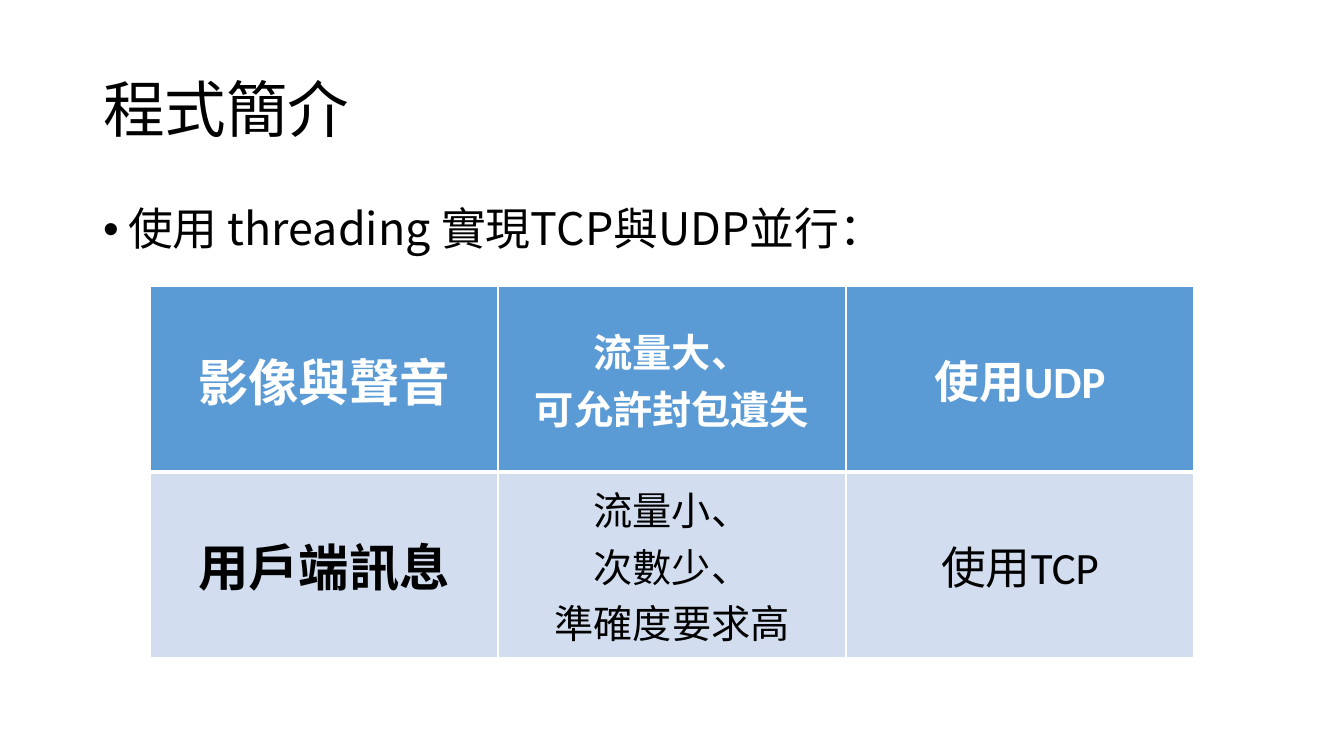
import pptx
import pptx.util
import pptx.dml.color
import pptx.enum.text
import pptx.oxml.ns
from lxml import etree

TITLE = "程式簡介"
BULLET = "使用 threading 實現TCP與UDP並行："
ROWS = [
    ["影像與聲音", "流量大、\n可允許封包遺失", "使用UDP"],
    ["用戶端訊息", "流量小、\n次數少、\n準確度要求高", "使用TCP"],
]
COLUMN_SIZES = [36, 28, 32]
COLORS = {"black": "000000", "white": "FFFFFF", "header": "5B9BD5", "band": "D2DEEF"}
CJK_FONT = "Noto Sans CJK SC"
COLUMN_FONTS = [CJK_FONT, "Calibri", "Calibri"]

SLIDE_SIZE = (1344, 756)
TITLE_BOX = (93, 40, 1159, 146)
BODY_BOX = (93, 202, 1159, 480)
TABLE_LEFT, TABLE_TOP = 150, 286
COLUMN_WIDTH, ROW_HEIGHT = 348, 186
BULLET_INDENT = 25
EMU_PER_PX = 914400 / 100.8

ALIGN = pptx.enum.text.PP_ALIGN
ANCHOR = pptx.enum.text.MSO_ANCHOR
qn = pptx.oxml.ns.qn


def px(length):
    return pptx.util.Emu(round(length * EMU_PER_PX))


def color(name):
    return pptx.dml.color.RGBColor.from_string(COLORS[name])


def style(para, size, font, ink, align, bold=False):
    para.alignment = align
    para.font.size = pptx.util.Pt(size)
    para.font.bold = bold
    para.font.name = font
    para.font.color.rgb = color(ink)
    defaults = para._p.get_or_add_pPr().find(qn("a:defRPr"))
    etree.SubElement(defaults, qn("a:ea"), typeface=CJK_FONT)


def fill_placeholder(box, place, text, size, anchor):
    box.left, box.top, box.width, box.height = map(px, place)
    frame = box.text_frame
    frame.text = text
    frame.word_wrap = True
    frame.auto_size = pptx.enum.text.MSO_AUTO_SIZE.NONE
    frame.vertical_anchor = anchor
    para = frame.paragraphs[0]
    style(para, size, CJK_FONT, "black", ALIGN.LEFT)
    para.line_spacing = 0.9
    return para


def add_borders(cell, bottom_width):
    properties = cell._tc.get_or_add_tcPr()
    for side, width in (("L", 1), ("R", 1), ("T", 1), ("B", bottom_width)):
        line = etree.SubElement(properties, qn("a:ln" + side), w=str(pptx.util.Pt(width)))
        solid = etree.SubElement(line, qn("a:solidFill"))
        etree.SubElement(solid, qn("a:srgbClr"), val=COLORS["white"])


def add_comparison(page):
    row_count, column_count = len(ROWS), len(COLUMN_SIZES)
    table = page.shapes.add_table(
        row_count, column_count, px(TABLE_LEFT), px(TABLE_TOP),
        px(COLUMN_WIDTH * column_count), px(ROW_HEIGHT * row_count),
    ).table
    for column in table.columns:
        column.width = px(COLUMN_WIDTH)
    for row_index, texts in enumerate(ROWS):
        table.rows[row_index].height = px(ROW_HEIGHT)
        header = row_index == 0
        for column_index, text in enumerate(texts):
            cell = table.cell(row_index, column_index)
            cell.vertical_anchor = ANCHOR.MIDDLE
            add_borders(cell, 3 if header else 1)
            cell.fill.solid()
            cell.fill.fore_color.rgb = color("header" if header else "band")
            para = cell.text_frame.paragraphs[0]
            para.text = text
            style(para, COLUMN_SIZES[column_index], COLUMN_FONTS[column_index],
                  "white" if header else "black", ALIGN.CENTER,
                  header or column_index == 0)


def main():
    deck = pptx.Presentation()
    deck.slide_width, deck.slide_height = map(px, SLIDE_SIZE)
    page = deck.slides.add_slide(deck.slide_layouts[1])
    fill_placeholder(page.shapes.title, TITLE_BOX, TITLE, 44, ANCHOR.MIDDLE)
    para = fill_placeholder(page.placeholders[1], BODY_BOX, BULLET, 32, ANCHOR.TOP)
    para.space_before = pptx.util.Pt(10)
    properties = para._p.get_or_add_pPr()
    properties.set("marL", str(px(BULLET_INDENT)))
    properties.set("indent", str(px(-BULLET_INDENT)))
    add_comparison(page)
    deck.save("out.pptx")


if __name__ == "__main__":
    main()
